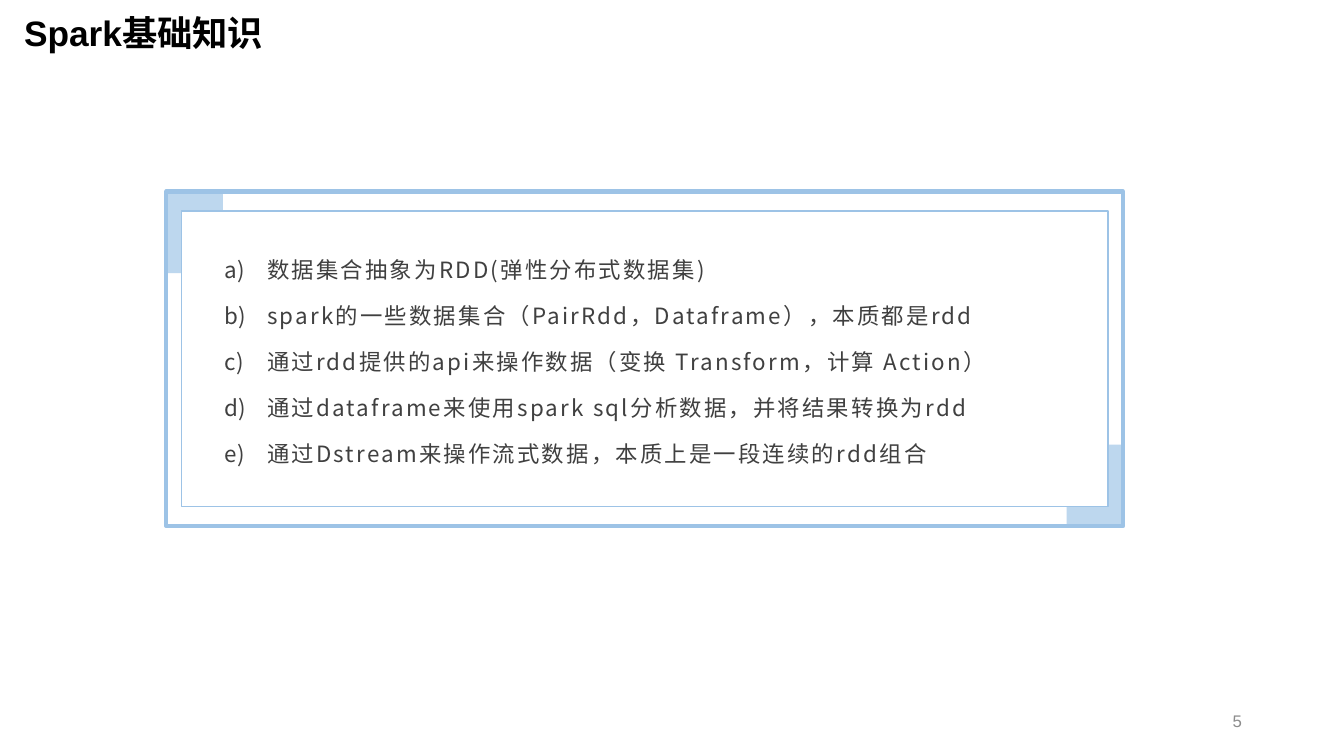
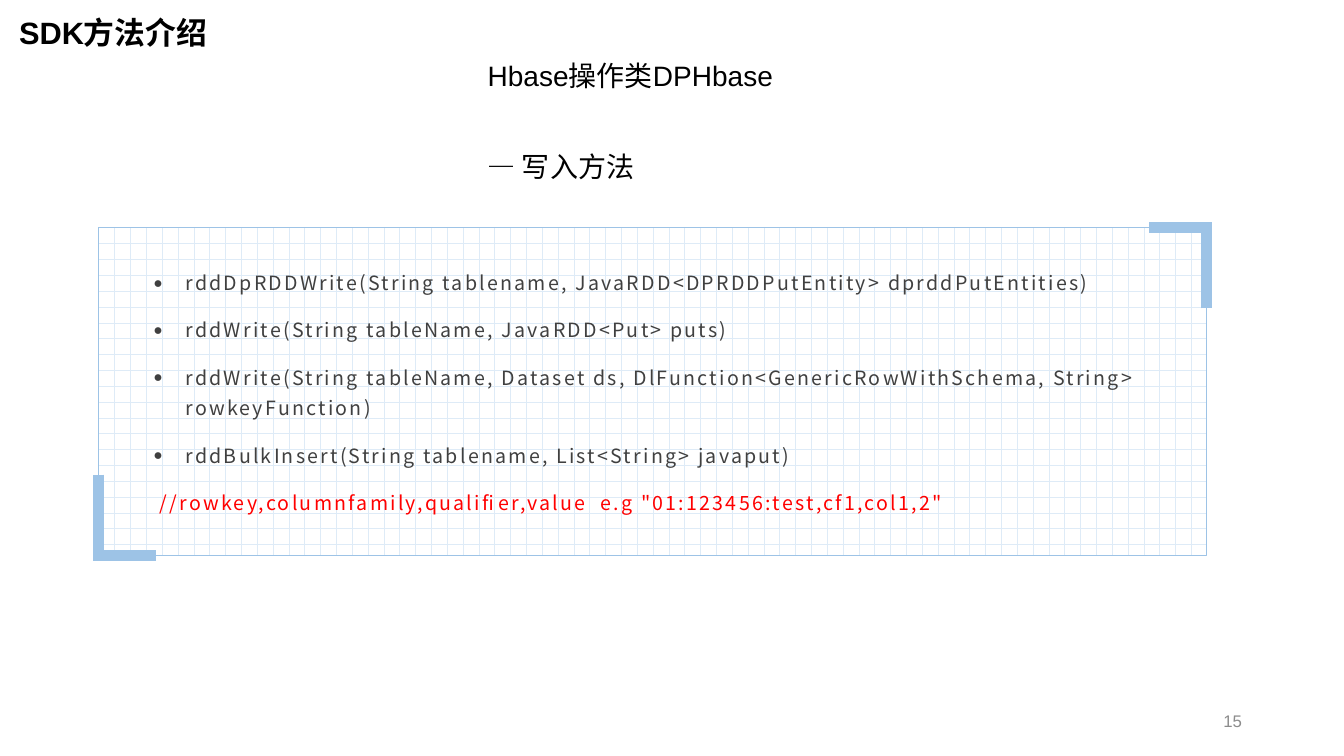
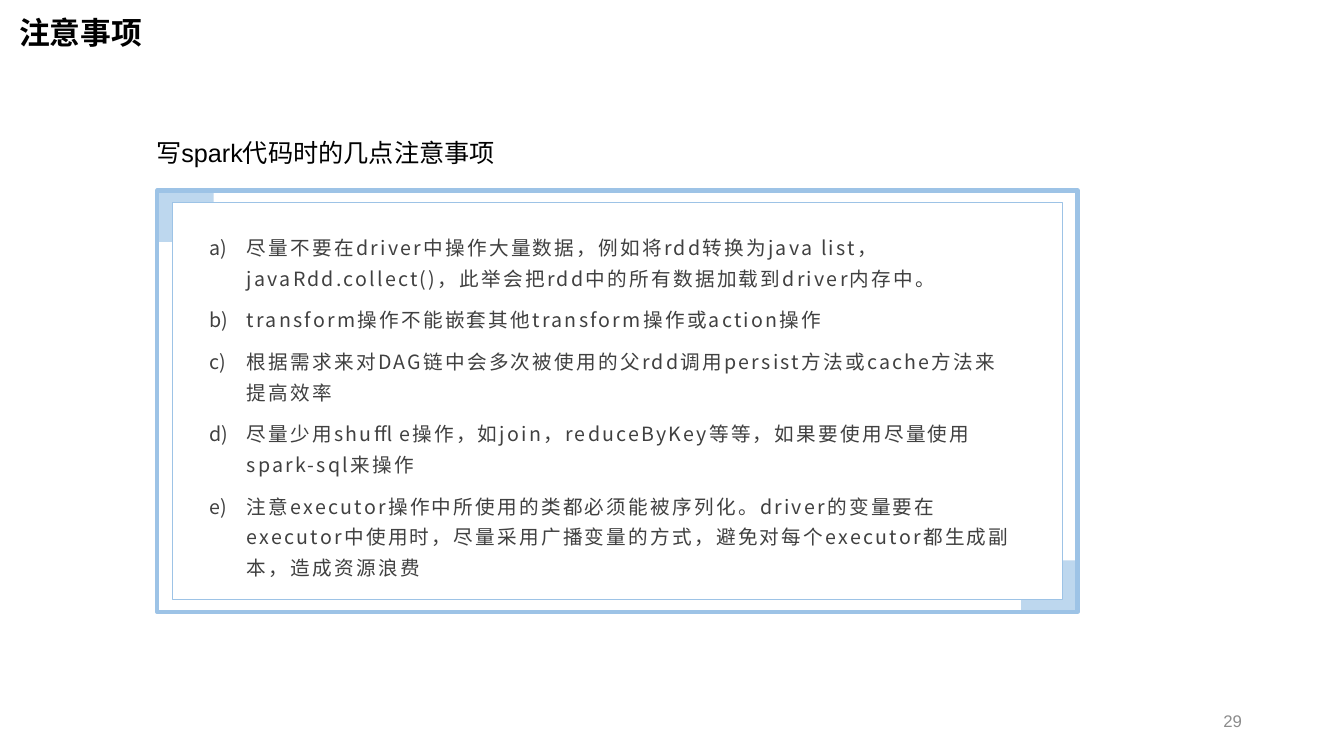
from lxml import etree
from pptx import Presentation, util as u
from pptx.dml.color import RGBColor
from pptx.enum import dml, shapes, text
from pptx.oxml.ns import qn

COLORS = {
    "ink": "000000", "body": "404040", "page": "8C8C8C", "note": "FF0000",
    "paper": "FFFFFF", "edge": "9DC3E6", "corner": "BDD7EE", "mesh": "DEEBF7",
}
RGB = {name: RGBColor.from_string(value) for name, value in COLORS.items()}
CJK = "Noto Sans CJK SC"

deck = Presentation()
deck.slide_width, deck.slide_height = u.Inches(13.333), u.Inches(7.5)
COL, ROW = deck.slide_width / 100, deck.slide_height / 100


def write(slide, box, lines, size, color="ink", font="Arial", bold=False, spacing=1.0,
          before=0, tracking=0, indent=0, bullet=None, frame_format=None):
    """Add a text box; box is in percent of the slide, a line is text or (text, color)."""
    left, top, width, height = box
    frame = slide.shapes.add_textbox(
        round(left * COL), round(top * ROW), round(width * COL), round(height * ROW)).text_frame
    for key, value in {"word_wrap": True, **(frame_format or {})}.items():
        setattr(frame, key, value)
    for number, line in enumerate(lines):
        words, ink = line if isinstance(line, tuple) else (line, color)
        para = frame.paragraphs[0] if number == 0 else frame.add_paragraph()
        para.line_spacing, para.space_before = spacing, u.Pt(before)
        run = para.add_run()
        run.text = words
        for key, value in {"size": u.Pt(size), "bold": bold, "name": font}.items():
            setattr(run.font, key, value)
        run.font.color.rgb = RGB[ink]
        letters = run._r.get_or_add_rPr()
        letters.set("spc", str(round(tracking * 100)))
        etree.SubElement(letters, qn("a:ea"), typeface=CJK)
        if bullet and ink == color:
            layout = para._p.get_or_add_pPr()
            layout.set("marL", str(u.Inches(indent)))
            layout.set("indent", str(-u.Inches(indent)))
            for tag, attributes in bullet:
                etree.SubElement(layout, qn(tag), attributes)
    return frame


def panel(slide, box, fill=None, line=0):
    left, top, width, height = box
    block = slide.shapes.add_shape(
        shapes.MSO_SHAPE.RECTANGLE,
        round(left * COL), round(top * ROW), round(width * COL), round(height * ROW))
    block.shadow.inherit = False
    if fill:
        block.fill.solid()
        block.fill.fore_color.rgb = RGB[fill]
    else:
        block.fill.background()
    if line:
        block.line.color.rgb, block.line.width = RGB["edge"], u.Pt(line)
    else:
        block.line.fill.background()
    return block


LETTERED = [("a:buFont", {"typeface": "+mj-lt"}), ("a:buAutoNum", {"type": "alphaLcParenR"})]
DOTTED = [("a:buSzPct", {"val": "80000"}), ("a:buFont", {"typeface": "Arial"}),
          ("a:buChar", {"char": "●"})]
LIST_STYLE = {"color": "body", "font": CJK, "spacing": 1.3, "tracking": 1.6}
MIDDLE = {"vertical_anchor": text.MSO_ANCHOR.MIDDLE}
GROW = {"auto_size": text.MSO_AUTO_SIZE.SHAPE_TO_FIT_TEXT}
SNUG = {**GROW, "margin_left": u.Inches(0.08), "margin_right": u.Inches(0.08),
        "margin_top": u.Inches(0.04), "margin_bottom": u.Inches(0.04)}
LOW = (0.68, 0, 86.25, 9.07)

# Titles and page numbers
pages = []
for heading, title_box, title_size, page_number in [
        ("Spark基础知识", (1.05, 1.6, 86.25, 6), 25.2, "5"),
        ("SDK方法介绍", LOW, 22, "15"),
        ("注意事项", LOW, 22, "29")]:
    page = deck.slides.add_slide(deck.slide_layouts[6])
    write(page, title_box, [heading], title_size, bold=True, spacing=0.9, frame_format=MIDDLE)
    footer = write(page, (70.65, 92.67, 22.5, 5.33), [page_number], 12, "page",
                   frame_format=MIDDLE)
    footer.paragraphs[0].alignment = text.PP_ALIGN.RIGHT
    pages.append(page)
basics, methods, cautions = pages

# Double-framed lists: outer frame, corner height, vertical inset, list box
basics_points = [
    "数据集合抽象为RDD(弹性分布式数据集)",
    "spark的一些数据集合（PairRdd，Dataframe），本质都是rdd",
    "通过rdd提供的api来操作数据（变换 Transform，计算 Action）",
    "通过dataframe来使用spark sql分析数据，并将结果转换为rdd",
    "通过Dstream来操作流式数据，本质上是一段连续的rdd组合",
]
caution_points = [
    "尽量不要在driver中操作大量数据，例如将rdd转换为java list，javaRdd.collect()，"
    "此举会把rdd中的所有数据加载到driver内存中。",
    "transform操作不能嵌套其他transform操作或action操作",
    "根据需求来对DAG链中会多次被使用的父rdd调用persist方法或cache方法来提高效率",
    "尽量少用shuffle操作，如join，reduceByKey等等，如果要使用尽量使用spark-sql来操作",
    "注意executor操作中所使用的类都必须能被序列化。driver的变量要在executor中使用时，"
    "尽量采用广播变量的方式，避免对每个executor都生成副本，造成资源浪费",
]
INSET, CORNER = 1.12, 4.2
for page, outer, corner_height, inset, list_box, points, size, indent in [
        (basics, (12.38, 25.33, 71.18, 44.27), 10.8, 2.6,
         (16.13, 32.27, 63.68, 30.4), basics_points, 16, 0.42),
        (cautions, (11.7, 25.2, 68.48, 55.73), 6.8, 1.6,
         (15, 29.73, 60.98, 53.33), caution_points, 14, 0.37)]:
    left, top, width, height = outer
    panel(page, (left, top, CORNER, corner_height), "corner")
    panel(page, (left + width - CORNER, top + height - corner_height, CORNER, corner_height),
          "corner")
    panel(page, outer, line=3)
    panel(page, (left + INSET, top + inset, width - 2 * INSET, height - 2 * inset), "paper", 1)
    write(page, list_box, points, size, before=8, indent=indent, bullet=LETTERED,
          frame_format=SNUG, **LIST_STYLE)
write(cautions, (10.88, 17.47, 71.85, 5.33), ["写spark代码时的几点注意事项"], 18,
      frame_format=GROW)

# Write methods on a squared sheet with two brackets
subject = write(methods, (35.55, 7.6, 47.25, 30), ["Hbase操作类DPHbase", "— 写入方法"], 20,
                spacing=0.9, before=10)
subject.paragraphs[1].space_before = u.Pt(43)
left, top, width, height = 7.35, 30.13, 82.43, 43.33
sheet = panel(methods, (left, top, width, height), "paper", 1)
sheet.fill.patterned()
sheet.fill.pattern = dml.MSO_PATTERN.DOTTED_GRID
sheet.fill.fore_color.rgb, sheet.fill.back_color.rgb = RGB["mesh"], RGB["paper"]
ARM_X, ARM_Y = 4.28, 10.67
for x, y, toward in [(left, top + height, 1), (left + width, top, -1)]:
    corner_path = [(x, y - toward * ARM_Y), (x, y), (x + toward * ARM_X, y)]
    start, *rest = [(round(px * COL), round(py * ROW)) for px, py in corner_path]
    builder = methods.shapes.build_freeform(*start)
    builder.add_line_segments(rest, close=False)
    bracket = builder.convert_to_shape()
    bracket.shadow.inherit = False
    bracket.fill.background()
    bracket.line.color.rgb, bracket.line.width = RGB["edge"], u.Pt(8)
    etree.SubElement(bracket.line._get_or_add_ln(), qn("a:miter"), lim="800000")
write(methods, (10.58, 34.93, 75.98, 33.47), [
    "rddDpRDDWrite(String tablename, JavaRDD<DPRDDPutEntity> dprddPutEntities)",
    "rddWrite(String tableName, JavaRDD<Put> puts)",
    "rddWrite(String tableName, Dataset ds, "
    "DlFunction<GenericRowWithSchema, String> rowkeyFunction)",
    "rddBulkInsert(String tablename, List<String> javaput)",
    (' //rowkey,columnfamily,qualifier,value  e.g "01:123456:test,cf1,col1,2"', "note"),
], 14, before=12, indent=0.32, bullet=DOTTED,
    frame_format={**GROW, "margin_left": u.Inches(0.11), "margin_right": u.Inches(0.09),
                  "margin_top": 0, "margin_bottom": 0}, **LIST_STYLE)

deck.save("out.pptx")
